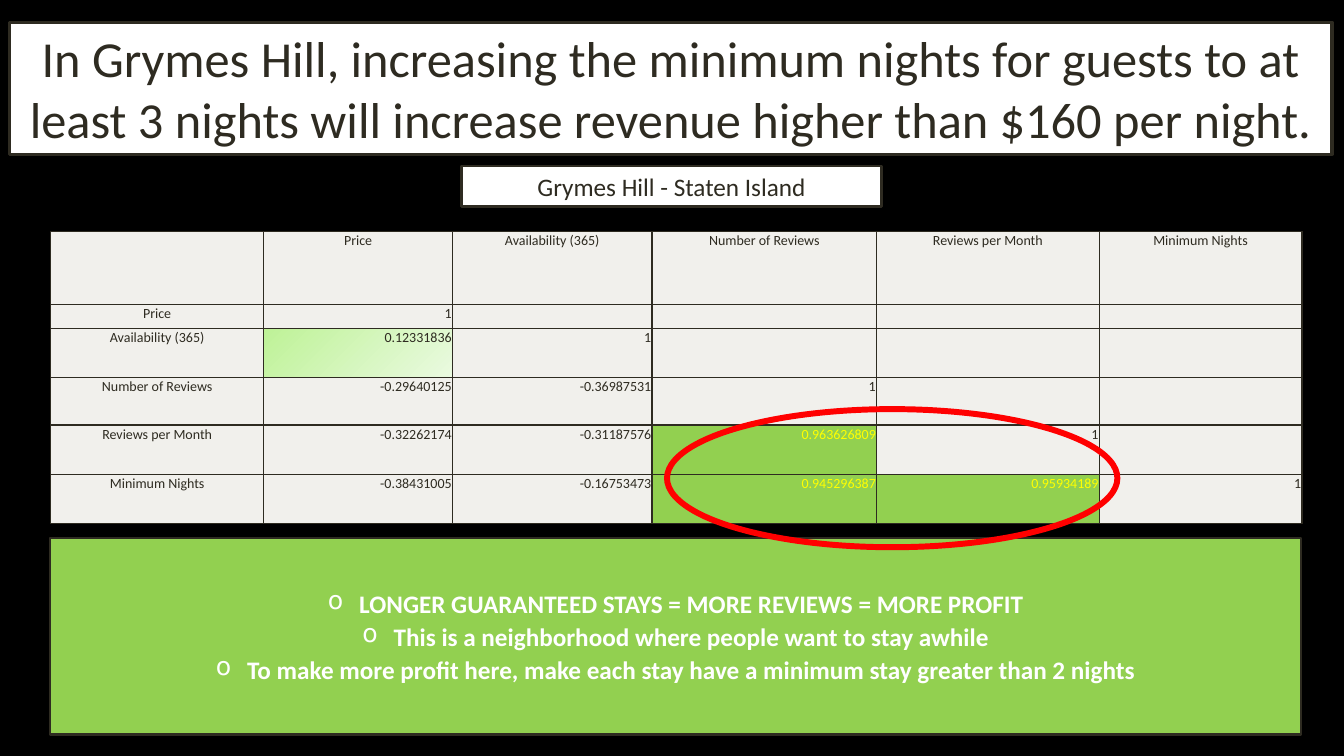
from lxml import etree
from pptx import Presentation
from pptx.dml.color import RGBColor
from pptx.enum.shapes import MSO_SHAPE as Shape
from pptx.enum.text import MSO_ANCHOR as Anchor, MSO_AUTO_SIZE as AutoSize, PP_ALIGN as Align
from pptx.oxml.ns import qn
from pptx.util import Cm, Pt

FONT = "Calibri"
INK, WHITE, BLACK, PALE = "2E2B21", "FFFFFF", "000000", "F1F0EC"
GREEN, YELLOW, RED = "92D050", "FFFF00", "FF0000"

FIELDS = ["Price", "Availability (365)", "Number of Reviews",
          "Reviews per Month", "Minimum Nights"]
# Lower triangle of the correlation matrix
CORRELATIONS = [
    ["1"],
    ["0.12331836", "1"],
    ["-0.29640125", "-0.36987531", "1"],
    ["-0.32262174", "-0.31187576", "0.963626809", "1"],
    ["-0.38431005", "-0.16753473", "0.945296387", "0.95934189", "1"],
]
STRONG = {(4, 3), (5, 3), (5, 4)}
WEAK_POSITIVE = (2, 1)
COL_WIDTHS = [5.38, 4.75, 5.03, 5.66, 5.61, 5.11]
ROW_HEIGHTS = [1.83, 0.61, 1.24, 1.19, 1.24, 1.24]
ADVICE = [
    "LONGER GUARANTEED STAYS = MORE REVIEWS = MORE PROFIT",
    "This is a neighborhood where people want to stay awhile",
    "To make more profit here, make each stay have a minimum stay greater than 2 nights",
]


def rgb(value):
    return RGBColor.from_string(value)


def solid_xml(parent, tag, color):
    """Add a tag that holds one colour."""
    el = etree.SubElement(parent, qn(tag))
    etree.SubElement(el, qn("a:srgbClr"), val=color)


def line_xml(parent, tag, color, width):
    ln = etree.SubElement(parent, qn(tag), w=str(Pt(width)))
    solid_xml(ln, "a:solidFill", color)
    return ln


def style(p, size, color, align, bold=False):
    p.alignment = align
    for r in p.runs:
        r.font.name, r.font.size, r.font.bold = FONT, Pt(size), bold
        r.font.color.rgb = rgb(color)


def add_box(s, kind, left, top, width, height, line, weight, fill=None):
    sp = s.shapes.add_shape(kind, Cm(left), Cm(top), Cm(width), Cm(height))
    sp.shadow.inherit = False
    if fill:
        sp.fill.solid()
        sp.fill.fore_color.rgb = rgb(fill)
    else:
        sp.fill.background()
    sp.line.color.rgb = rgb(line)
    sp.line.width = Pt(weight)
    return sp


def add_heading(s, text, size, weight, *place):
    sp = add_box(s, Shape.RECTANGLE, *place, INK, weight, WHITE)
    tf = sp.text_frame
    tf.text = text
    tf.word_wrap = True
    tf.auto_size = AutoSize.SHAPE_TO_FIT_TEXT
    tf.vertical_anchor = Anchor.TOP
    style(tf.paragraphs[0], size, INK, Align.CENTER)
    return tf.paragraphs[0].runs[0]


def outline_text(r, color, width):
    rPr = r.font._element
    rPr.insert(0, line_xml(rPr, "a:ln", color, width))


def fill_cell(cell, row, col):
    if (row, col) == WEAK_POSITIVE:
        cell.fill.gradient()
        cell.fill.gradient_angle = 315
        for stop, color in zip(cell.fill.gradient_stops, ("BEF297", "EAFAE0")):
            stop.color.rgb = rgb(color)
    else:
        cell.fill.solid()
        cell.fill.fore_color.rgb = rgb(GREEN if (row, col) in STRONG else PALE)


def format_cell(cell, text, row, col):
    cell.margin_left = cell.margin_right = cell.margin_top = Cm(0.02)
    cell.margin_bottom = 0
    p = cell.text_frame.paragraphs[0]
    if text:
        p.text = text
        style(p, 10, YELLOW if (row, col) in STRONG else INK,
              Align.RIGHT if row and col else Align.CENTER)
    else:
        # Keep empty cells from stretching the short row
        etree.SubElement(p._p, qn("a:endParaRPr"), sz="1000")
    tcPr = cell._tc.get_or_add_tcPr()
    for side in "LRTB":
        line_xml(tcPr, f"a:ln{side}", INK, 1)
    fill_cell(cell, row, col)


def add_correlation_table(s, left, top):
    rows = [[""] + FIELDS] + [[f] + v for f, v in zip(FIELDS, CORRELATIONS)]
    n = len(rows)
    table = s.shapes.add_table(n, n, Cm(left), Cm(top), Cm(sum(COL_WIDTHS)),
                               Cm(sum(ROW_HEIGHTS))).table
    for column, width in zip(table.columns, COL_WIDTHS):
        column.width = Cm(width)
    for row, height in zip(table.rows, ROW_HEIGHTS):
        row.height = Cm(height)
    for i, values in enumerate(rows):
        for j in range(n):
            text = values[j] if j < len(values) else ""
            format_cell(table.cell(i, j), text, i, j)


def add_bullets(s, lines, *place):
    sp = add_box(s, Shape.RECTANGLE, *place, INK, 1.5, GREEN)
    tf = sp.text_frame
    tf.text = "\n".join(lines)
    tf.word_wrap = True
    tf.vertical_anchor = Anchor.MIDDLE
    for p in tf.paragraphs:
        style(p, 18, WHITE, Align.CENTER, bold=True)
        p.space_after = Pt(2)
        pPr = p._p.get_or_add_pPr()
        pPr.set("marL", str(Cm(0.79)))
        pPr.set("indent", str(Cm(-0.79)))
        solid_xml(pPr, "a:buClr", WHITE)
        etree.SubElement(pPr, qn("a:buChar"), char="o")


def main():
    prs = Presentation()
    prs.slide_width, prs.slide_height = Cm(33.87), Cm(19.05)
    s = prs.slides.add_slide(prs.slide_layouts[6])
    s.background.fill.solid()
    s.background.fill.fore_color.rgb = rgb(BLACK)

    # Headline
    r = add_heading(s, "In Grymes Hill, increasing the minimum nights for guests to at "
                    "least 3 nights will increase revenue higher than $160 per night.",
                    36, 2.25, 0.25, 0.56, 33.32, 3.33)
    outline_text(r, INK, 0.75)

    # Correlation table and its label
    add_correlation_table(s, 1.27, 5.84)
    add_heading(s, "Grymes Hill - Staten Island", 18, 1.75, 11.63, 4.19, 10.59, 1.02)

    # Advice panel
    add_bullets(s, ADVICE, 1.27, 13.56, 31.52, 4.95)

    # Ring around the strong correlations
    add_box(s, Shape.OVAL, 16.81, 10.31, 11.35, 3.48, RED, 4.25)

    prs.save("out.pptx")


if __name__ == "__main__":
    main()
